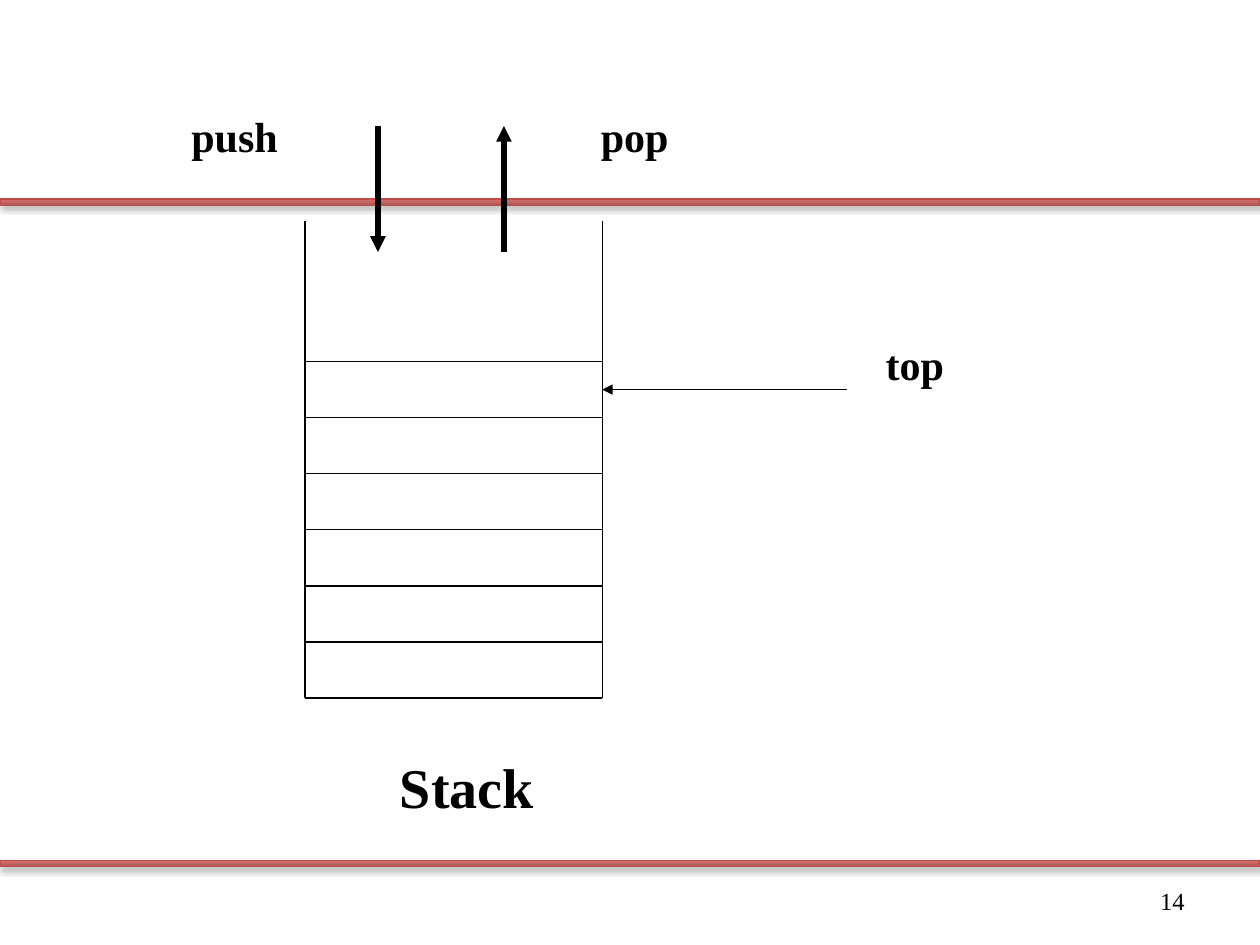
import lxml.etree
import pptx
import pptx.dml.color
import pptx.enum.shapes
import pptx.enum.text
import pptx.oxml
import pptx.oxml.ns
import pptx.util

Inches, Pt = pptx.util.Inches, pptx.util.Pt
ALIGN, ANCHOR = pptx.enum.text.PP_ALIGN, pptx.enum.text.MSO_ANCHOR
qn = pptx.oxml.ns.qn
NAMESPACE = pptx.oxml.ns.nsdecls("a")
BLACK = "000000"

presentation = pptx.Presentation()
presentation.slide_width, presentation.slide_height = Inches(10), Inches(7.5)
slide = presentation.slides.add_slide(presentation.slide_layouts[6])


def add_text(text, left, top, width, height, size=24, bold=True,
             align=ALIGN.LEFT, anchor=ANCHOR.TOP):
    """Add a one-paragraph text box, with lengths in inches."""
    box = slide.shapes.add_textbox(*map(Inches, (left, top, width, height)))
    frame = box.text_frame
    frame.word_wrap = True
    frame.vertical_anchor = anchor
    paragraph = frame.paragraphs[0]
    paragraph.alignment = align
    run = paragraph.add_run()
    run.text = text
    run.font.name, run.font.size, run.font.bold = "Times New Roman", Pt(size), bold
    run.font.color.rgb = pptx.dml.color.RGBColor.from_string(BLACK)


def style_line(shape, color=BLACK, width=0.75, arrow=False):
    """Set colour and width of a line, with an optional arrowhead at its end."""
    shape.line.color.rgb = pptx.dml.color.RGBColor.from_string(color)
    shape.line.width = Pt(width)
    if arrow:
        line = shape.line._get_or_add_ln()
        lxml.etree.SubElement(line, qn("a:tailEnd"), type="triangle")


# Red bars
stops = [(0, "9C2F2D"), (80, "CB3E3A"), (100, "CE3B37")]
for bar_top in (6.83, 1.58):
    bar = slide.shapes.add_shape(pptx.enum.shapes.MSO_SHAPE.RECTANGLE, 0,
                                 Inches(bar_top), Inches(10), Inches(0.05))
    bar.fill.gradient()
    bar.fill.gradient_angle = 90
    stop_list = bar.element.spPr.find(".//" + qn("a:gsLst"))
    stop_list.clear()
    for position, color in stops:
        stop_list.append(pptx.oxml.parse_xml(
            f'<a:gs {NAMESPACE} pos="{position * 1000}"><a:srgbClr val="{color}">'
            '<a:alpha val="73000"/></a:srgbClr></a:gs>'))
    style_line(bar, "BF4C48")
    bar.shadow.inherit = False
    bar.element.spPr.find(qn("a:effectLst")).append(pptx.oxml.parse_xml(
        f'<a:outerShdw {NAMESPACE} blurRad="40000" dist="23000" dir="5400000" '
        'rotWithShape="0"><a:srgbClr val="000000"><a:alpha val="35000"/>'
        '</a:srgbClr></a:outerShdw>'))

# Stack walls, cell borders and the pointer to the top cell
left, right, rim, first, floor = 2.42, 4.78, 1.75, 2.87, 5.54
cells = 6
cell_height = (floor - first) / cells
pointer_y = first + cell_height / 2
pointer = (6.72, pointer_y, right, pointer_y)
segments = [(x, rim, x, floor) for x in (left, right)]
segments += [(left, first + row * cell_height, right, first + row * cell_height)
             for row in range(cells + 1)]
for segment in segments + [pointer]:
    connector = slide.shapes.add_connector(
        pptx.enum.shapes.MSO_CONNECTOR.STRAIGHT, *map(Inches, segment))
    style_line(connector, arrow=segment == pointer)
    lxml.etree.SubElement(connector.element.spPr, qn("a:effectLst"))

# Curved arrows: a start point, then three points for each Bezier piece
push_curve = [(2.85, 1.08), (3.01, 1.19), (3.17, 1.31), (3.28, 1.53),
              (3.38, 1.75), (3.46, 2.27), (3.49, 2.42)]
pop_curve = [(3.78, 2.42), (3.74, 2.09), (3.71, 1.75), (3.78, 1.53),
             (3.85, 1.31), (4.03, 1.19), (4.21, 1.08)]
for start, *points in (push_curve, pop_curve):
    builder = slide.shapes.build_freeform(*start, scale=Inches(1))
    builder.add_line_segments(points, close=False)
    curve = builder.convert_to_shape()
    outline = curve.element.spPr.find(".//" + qn("a:path"))
    straight = outline.findall(qn("a:lnTo"))
    for index in range(0, len(straight), 3):
        bezier = lxml.etree.SubElement(outline, qn("a:cubicBezTo"))
        for piece in straight[index:index + 3]:
            bezier.append(piece[0])
            outline.remove(piece)
    curve.fill.background()
    curve.shadow.inherit = False
    style_line(curve, width=3, arrow=True)

# Labels
add_text("push", 1.42, 0.83, 1.75, 0.5)
add_text("pop", 4.67, 0.83, 2.75, 0.5)
add_text("top", 6.93, 2.64, 2.15, 0.89)
add_text("Stack", 2.08, 5.92, 3.25, 0.63, size=32, align=ALIGN.CENTER)
add_text("14", 7.17, 6.95, 2.33, 0.4, size=14, bold=False,
         align=ALIGN.RIGHT, anchor=ANCHOR.MIDDLE)

presentation.save("out.pptx")
